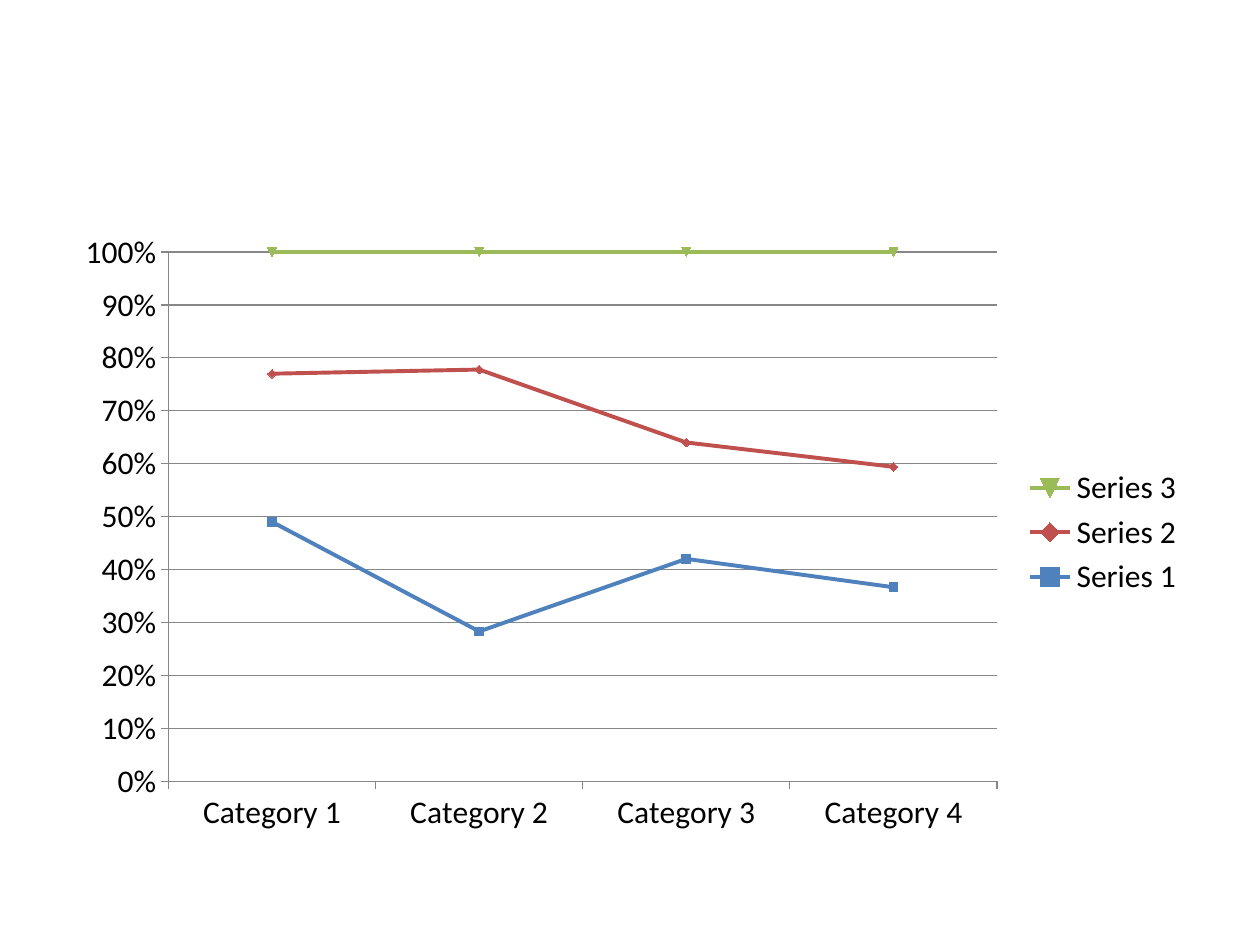
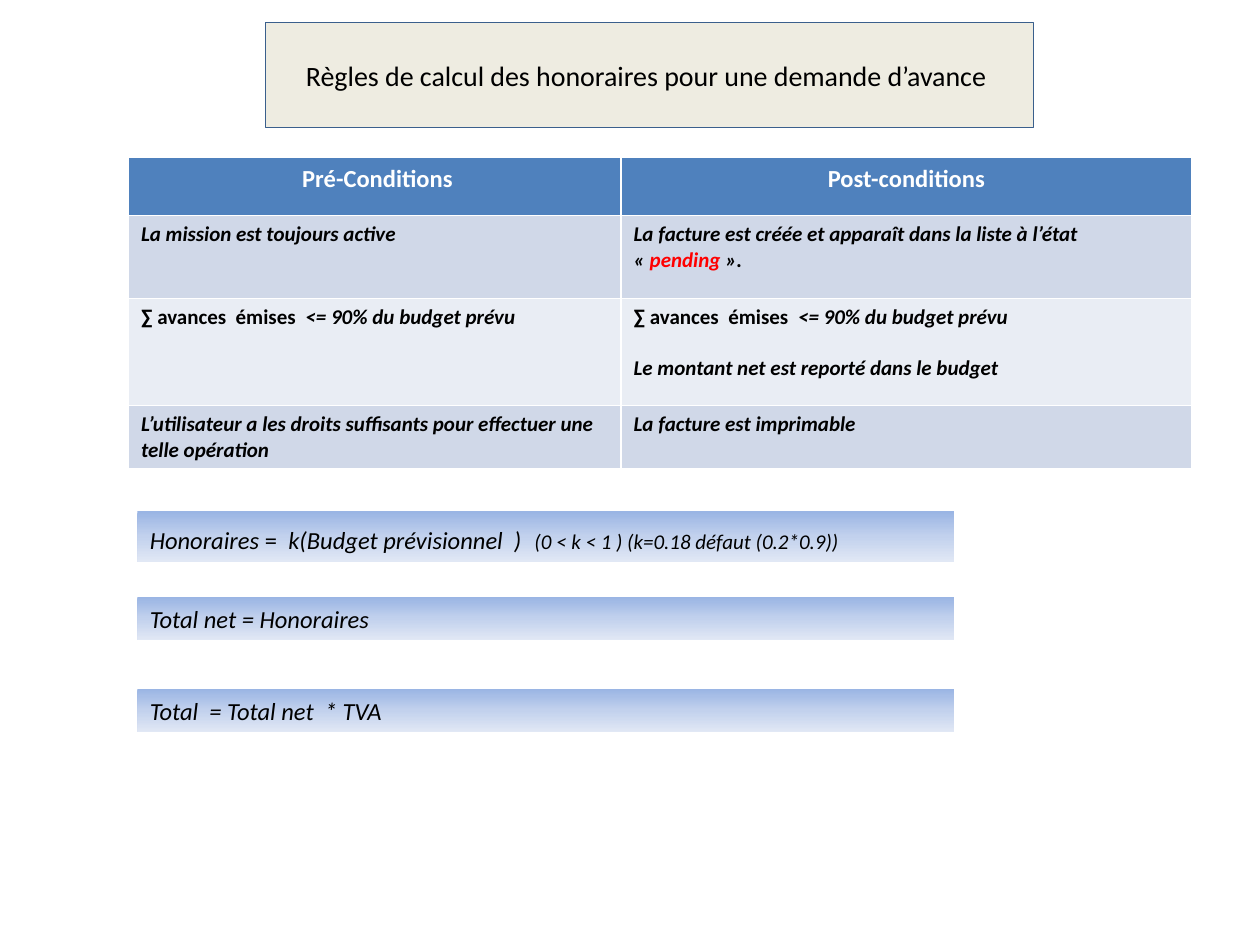
from copy import deepcopy
from dataclasses import dataclass

from pptx import Presentation
from pptx.chart.data import CategoryChartData
from pptx.dml.color import RGBColor
from pptx.enum.chart import XL_CHART_TYPE as ChartType, XL_LEGEND_POSITION as LegendPosition
from pptx.enum.chart import XL_TICK_MARK as TickMark
from pptx.enum.shapes import MSO_SHAPE as Shape
from pptx.enum.text import MSO_ANCHOR as Anchor, MSO_AUTO_SIZE as AutoSize, PP_ALIGN as Align
from pptx.oxml.ns import qn
from pptx.util import Pt


@dataclass(frozen=True)
class Theme:
    font: str = "Calibri"
    black: str = "000000"
    white: str = "FFFFFF"
    red: str = "FF0000"
    header: str = "4F81BD"
    bands: tuple = ("D0D8E8", "E9EDF4")
    series: tuple = ("4F81BD", "C0504D", "9BBB59")
    grid: str = "878787"
    title_fill: str = "EEECE1"
    title_line: str = "3A5F8C"
    gradient: tuple = ((0, "9AB5E4"), (0.5, "C2D1ED"), (1, "E1E8F5"))
    chart_size: int = 18
    title_size: int = 16
    text_size: int = 14
    small_size: int = 12


theme = Theme()


def rgb(code):
    return RGBColor.from_string(code)


def add_run(paragraph, text, size, color=theme.black, bold=False, italic=False):
    run = paragraph.add_run()
    run.text = text
    font = run.font
    font.name, font.size, font.bold, font.italic = theme.font, Pt(size), bold, italic
    font.color.rgb = rgb(color)


deck = Presentation()
deck.slide_width, deck.slide_height = Pt(720), Pt(540)
title_only, blank = deck.slide_layouts[5], deck.slide_layouts[6]

chart_slide = deck.slides.add_slide(blank)
shares = CategoryChartData(number_format="General")
shares.categories = [f"Category {n}" for n in range(1, 5)]
for n, values in enumerate([(49, 28, 42, 37), (28, 49, 22, 23), (23, 22, 36, 41)], 1):
    shares.add_series(f"Series {n}", values)
chart = chart_slide.shapes.add_chart(
    ChartType.LINE_MARKERS_STACKED_100, Pt(36), Pt(126), Pt(648), Pt(356.4), shares).chart
chart.has_title = False
chart.font.name, chart.font.size = theme.font, Pt(theme.chart_size)
chart.font.color.rgb = rgb(theme.black)
chart.has_legend = True
chart.legend.position = LegendPosition.RIGHT
chart.legend.include_in_layout = False
chart.plots[0].vary_by_categories = False
for series, color in zip(chart.plots[0].series, theme.series):
    series.smooth = False
    series.format.line.width = Pt(2.25)
    series.format.line.color.rgb = rgb(color)
share_axis = chart.value_axis
share_axis.has_major_gridlines = True
share_axis.tick_labels.number_format = "0%"
share_axis.tick_labels.number_format_is_linked = False
for ruled in (share_axis, chart.category_axis, share_axis.major_gridlines):
    ruled.format.line.color.rgb = rgb(theme.grid)
    ruled.format.line.width = Pt(0.75)
for axis in (share_axis, chart.category_axis):
    axis.major_tick_mark = TickMark.OUTSIDE

rules_slide = deck.slides.add_slide(title_only)
title = rules_slide.shapes.title
title.left, title.top, title.width, title.height = Pt(151.9), Pt(29.5), Pt(438.5), Pt(26.6)
title.fill.solid()
title.fill.fore_color.rgb = rgb(theme.title_fill)
title.line.color.rgb = rgb(theme.title_line)
title.line.width = Pt(0.75)
title.text_frame.auto_size = AutoSize.SHAPE_TO_FIT_TEXT
heading = title.text_frame.paragraphs[0]
heading.alignment = Align.CENTER
add_run(heading, "Règles de calcul des honoraires pour une demande d’avance ", theme.title_size)

plain = {"bold": True}
slanted = {"bold": True, "italic": True}
pending = {**slanted, "color": theme.red}
advances = [("∑ avances  émises", plain), ("  <= 90% du budget prévu", slanted)]
conditions = [
    ([[("La mission est toujours active", slanted)]],
     [[("La facture est créée et apparaît dans la liste à l’état «\u00a0", slanted),
       ("pending", pending), ("\u00a0». ", slanted)]]),
    ([advances],
     [advances, [("Le montant net est reporté dans le budget", slanted)]]),
    ([[("L’utilisateur a les droits suffisants pour effectuer une telle opération", slanted)]],
     [[("La facture est imprimable", slanted)]]),
]
table = rules_slide.shapes.add_table(4, 2, Pt(73.4), Pt(90), Pt(607.7), Pt(177.8)).table
for column, width in zip(table.columns, (281.5, 326.2)):
    column.width = Pt(width)
for row, height in zip(table.rows, (33.1, 47.5, 61.2, 33.8)):
    row.height = Pt(height)
for cell, label in zip(table.rows[0].cells, (" Pré-Conditions", "Post-conditions")):
    cell.fill.solid()
    cell.fill.fore_color.rgb = rgb(theme.header)
    paragraph = cell.text_frame.paragraphs[0]
    paragraph.alignment = Align.CENTER
    add_run(paragraph, label, theme.text_size, theme.white, bold=True)
for r, condition in enumerate(conditions):
    for cell, lines in zip(table.rows[r + 1].cells, condition):
        cell.fill.solid()
        cell.fill.fore_color.rgb = rgb(theme.bands[r % 2])
        for n, line in enumerate(lines):
            if n == 0:
                paragraph = cell.text_frame.paragraphs[0]
            else:
                paragraph = cell.text_frame.add_paragraph()
                paragraph.space_before = Pt(14.6)
            for text, style in line:
                add_run(paragraph, text, theme.small_size, **style)

formulas = [
    (292.3, 28.8, [("Honoraires", theme.text_size, True), (" =  ", theme.text_size, False),
                   ("k(Budget prévisionnel  ) ", theme.text_size, True),
                   (" ", theme.chart_size, True),
                   ("(0 < k < 1 ) (k=0.18 défaut (0.2*0.9))", theme.small_size, True)]),
    (341.3, 24.5, [("Total net = Honoraires", theme.text_size, True)]),
    (393.8, 24.5, [("Total  = Total net  * TVA", theme.text_size, True)]),
]
for top, height, parts in formulas:
    formula = rules_slide.shapes.add_shape(Shape.RECTANGLE, Pt(78.5), Pt(top), Pt(466.6), Pt(height))
    formula.shadow.inherit = False
    formula.line.fill.background()
    formula.fill.gradient()
    formula.fill.gradient_angle = 270
    stops = formula.element.spPr.find(".//" + qn("a:gsLst"))
    stops.insert(1, deepcopy(stops[0]))
    for stop, (position, color) in zip(formula.fill.gradient_stops, theme.gradient):
        stop.position = position
        stop.color.rgb = rgb(color)
    frame = formula.text_frame
    frame.word_wrap = True
    frame.auto_size = AutoSize.SHAPE_TO_FIT_TEXT
    frame.vertical_anchor = Anchor.MIDDLE
    frame.paragraphs[0].alignment = Align.LEFT
    for text, size, italic in parts:
        add_run(frame.paragraphs[0], text, size, italic=italic)

deck.save("out.pptx")
